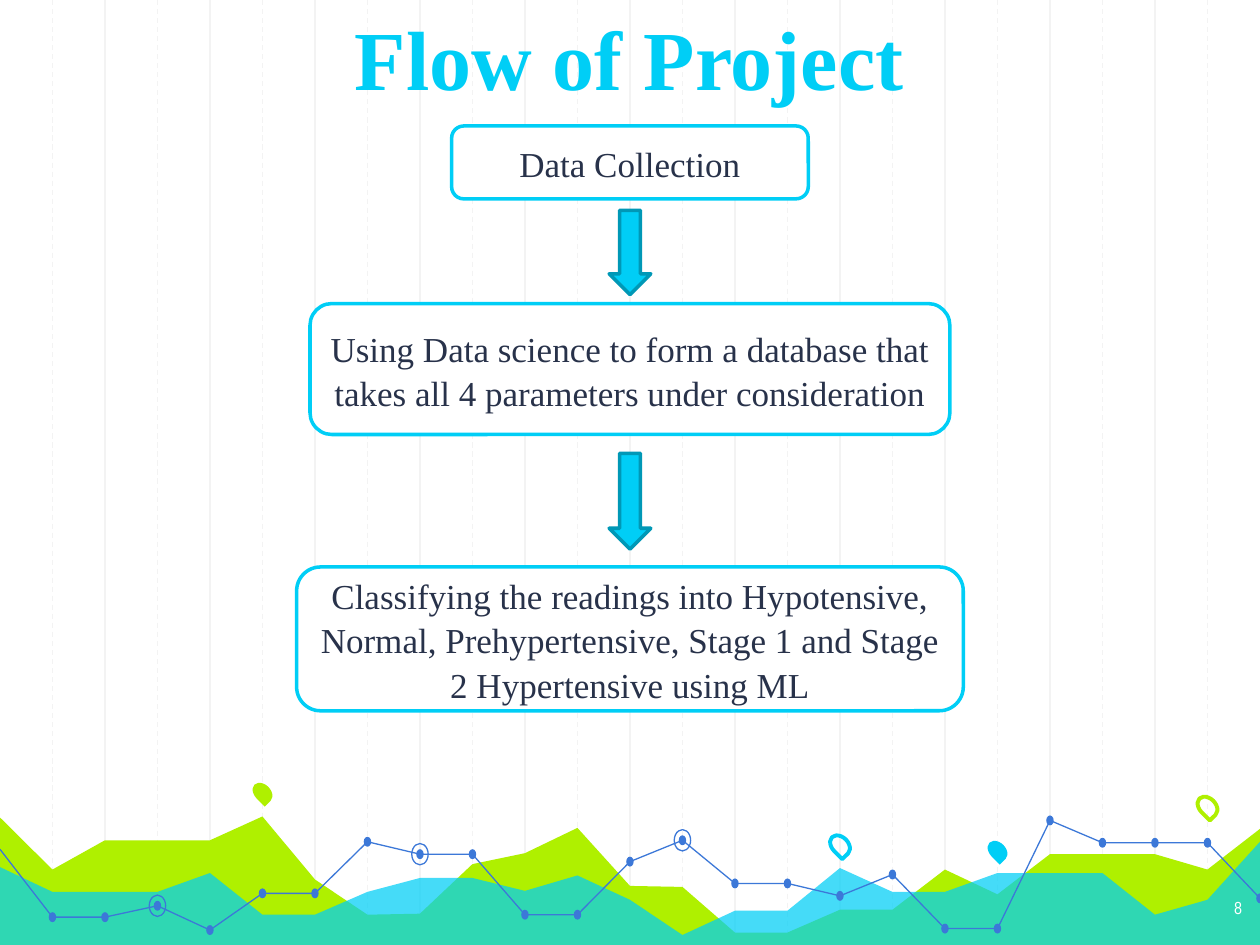
from lxml import etree
from pptx import Presentation
from pptx import util as u
from pptx.dml.color import RGBColor
from pptx.enum import dml, shapes, text
from pptx.oxml import ns

COLORS = {
    "cyan": "00CEF6", "teal": "0098B6", "lime": "AFF000", "blue": "3C78D8",
    "grid": "F3F3F3", "ink": "28324A", "white": "FFFFFF",
}
SERIF, NARROW = "Times New Roman", "Arial Narrow"
KIND = shapes.MSO_SHAPE

# Lengths are in centimetres
WIDTH, HEIGHT = 25.4, 19.05
BOTTOM = 19.12
COLUMNS = 24
STEP = WIDTH / COLUMNS

# One height for each grid column, from the left edge to the right edge
LIME_AREA = [16.48, 17.53, 16.94, 16.94, 16.94, 16.46, 17.73, 18.44, 18.42,
             17.42, 17.2, 16.69, 17.86, 17.88, 18.8, 18.8, 18.34, 18.34,
             17.53, 18.03, 17.22, 17.22, 17.22, 17.53, 16.71]
CYAN_AREA = [17.48, 17.98, 17.98, 17.98, 17.6, 18.44, 18.44, 17.98, 17.7,
             17.7, 17.96, 17.65, 18.14, 18.85, 18.36, 18.36, 17.5, 17.98,
             17.98, 17.6, 17.6, 17.6, 18.44, 18.14, 16.97]
TREND = [17.12, 18.49, 18.49, 18.26, 18.75, 18.01, 18.01, 16.97, 17.22,
         17.22, 18.44, 18.44, 17.37, 16.94, 17.81, 17.81, 18.06, 17.63,
         18.72, 18.72, 16.54, 16.99, 16.99, 16.99, 18.11]
TREND_PARTS = [(0, 11), (11, 20), (20, 24)]
RING_COLUMNS = [3, 8, 13]

# Column, centre height, fill, outline
PINS = [(5, 15.98, "lime", None), (16, 17.04, None, "cyan"),
        (19, 17.15, "cyan", None), (23, 16.26, None, "lime")]

# Top, width, height, wording
STEPS = [
    (2.54, 7.19, 1.47, "Data Collection"),
    (6.12, 12.9, 2.64, "Using Data science to form a database that takes "
                       "all 4 parameters under consideration"),
    (11.43, 13.44, 2.9, "Classifying the readings into Hypotensive, Normal, "
                        "Prehypertensive, Stage 1 and Stage 2 Hypertensive "
                        "using ML"),
]
ARROWS = [(4.24, 1.7), (9.14, 1.93)]  # top, height


def rgb(name):
    return RGBColor.from_string(COLORS[name])


def paint(shape, fill=None, line=None, weight=0.75):
    shape.shadow.inherit = False
    if fill:
        shape.fill.solid()
        shape.fill.fore_color.rgb = rgb(fill)
    else:
        shape.fill.background()
    if line:
        shape.line.color.rgb = rgb(line)
        shape.line.width = u.Pt(weight)
    else:
        shape.line.fill.background()


def set_opacity(shape, percent):
    color = shape.fill._xPr.find(".//" + ns.qn("a:srgbClr"))
    etree.SubElement(color, ns.qn("a:alpha"), val=str(percent * 1000))


def write(shape, wording, size, font, color, bold=False, spacing=None,
          align=text.PP_ALIGN.CENTER, anchor=text.MSO_ANCHOR.MIDDLE,
          inset=0.25):
    frame = shape.text_frame
    frame_format = {
        "word_wrap": True, "vertical_anchor": anchor,
        "margin_left": u.Cm(inset), "margin_right": u.Cm(inset),
        "margin_top": u.Cm(inset), "margin_bottom": u.Cm(inset),
    }
    for name, value in frame_format.items():
        setattr(frame, name, value)
    paragraph = frame.paragraphs[0]
    paragraph.alignment = align
    paragraph.line_spacing = spacing
    run = paragraph.add_run()
    run.text = wording
    for name, value in {"size": u.Pt(size), "name": font, "bold": bold}.items():
        setattr(run.font, name, value)
    run.font.color.rgb = rgb(color)


def add_centred(slide, kind, x, y, width, height, **style):
    shape = slide.shapes.add_shape(kind, u.Cm(x - width / 2),
                                   u.Cm(y - height / 2),
                                   u.Cm(width), u.Cm(height))
    paint(shape, **style)
    return shape


def add_label(slide, left, top, width, height, *wording, **style):
    box = slide.shapes.add_textbox(u.Cm(left), u.Cm(top),
                                   u.Cm(width), u.Cm(height))
    write(box, *wording, **style)


def add_outline(slide, points, close, **style):
    points = [(u.Cm(x), u.Cm(y)) for x, y in points]
    builder = slide.shapes.build_freeform(*points[0])
    builder.add_line_segments(points[1:], close=close)
    shape = builder.convert_to_shape()
    paint(shape, **style)
    return shape


def add_area(slide, heights, color):
    ridge = [(column * STEP, y) for column, y in enumerate(heights)]
    base = [(WIDTH, BOTTOM), (0, BOTTOM)]
    return add_outline(slide, ridge + base, True, fill=color)


def add_grid_line(slide, column):
    x = u.Cm(column * STEP)
    line = slide.shapes.add_connector(shapes.MSO_CONNECTOR.STRAIGHT,
                                      x, 0, x, u.Cm(BOTTOM))
    line.line.color.rgb = rgb("grid")
    line.line.width = u.Pt(0.75)
    if column % 2:
        line.line.dash_style = dml.MSO_LINE.DASH
    etree.SubElement(line._element.spPr, ns.qn("a:effectLst"))


def add_trend(slide):
    for first, last in TREND_PARTS:
        points = [(column * STEP, TREND[column])
                  for column in range(first, last + 1)]
        add_outline(slide, points, False, line="blue")
    for column in range(1, COLUMNS + 1):
        add_centred(slide, KIND.OVAL, column * STEP, TREND[column],
                    0.15, 0.2, fill="blue")
    for column in RING_COLUMNS:
        add_centred(slide, KIND.OVAL, column * STEP, TREND[column],
                    0.33, 0.43, line="blue")


def add_pin(slide, column, y, fill, line):
    pin = add_centred(slide, KIND.TEAR, column * STEP, y, 0.33, 0.46,
                      fill=fill, line=line, weight=2.25)
    pin.rotation = 135


def main():
    presentation = Presentation()
    presentation.slide_width = u.Cm(WIDTH)
    presentation.slide_height = u.Cm(HEIGHT)
    slide = presentation.slides.add_slide(presentation.slide_layouts[6])

    # Background grid: even columns solid, odd columns dashed
    for column in [*range(2, COLUMNS, 2), *range(1, COLUMNS, 2)]:
        add_grid_line(slide, column)

    # Decorative chart along the bottom
    add_area(slide, LIME_AREA, "lime")
    set_opacity(add_area(slide, CYAN_AREA, "cyan"), 73)
    add_trend(slide)
    for pin in PINS:
        add_pin(slide, *pin)

    # Title and slide number
    add_label(slide, 2.97, -0.23, 19.43, 2.64, "Flow of Project", 48, SERIF,
              "cyan", bold=True, anchor=text.MSO_ANCHOR.BOTTOM)
    add_label(slide, 23.77, 17.88, 1.52, 1.17, "8", 10, NARROW, "white",
              align=text.PP_ALIGN.RIGHT, anchor=text.MSO_ANCHOR.TOP)

    # Flow of steps
    for top, width, height, wording in STEPS:
        box = add_centred(slide, KIND.ROUNDED_RECTANGLE, WIDTH / 2,
                          top + height / 2, width, height,
                          fill="white", line="cyan", weight=2)
        write(box, wording, 20, SERIF, "ink", spacing=1.05, inset=0.13)
    for top, height in ARROWS:
        add_centred(slide, KIND.DOWN_ARROW, WIDTH / 2, top + height / 2,
                    0.84, height, fill="cyan", line="teal", weight=2)

    presentation.save("out.pptx")


if __name__ == "__main__":
    main()
